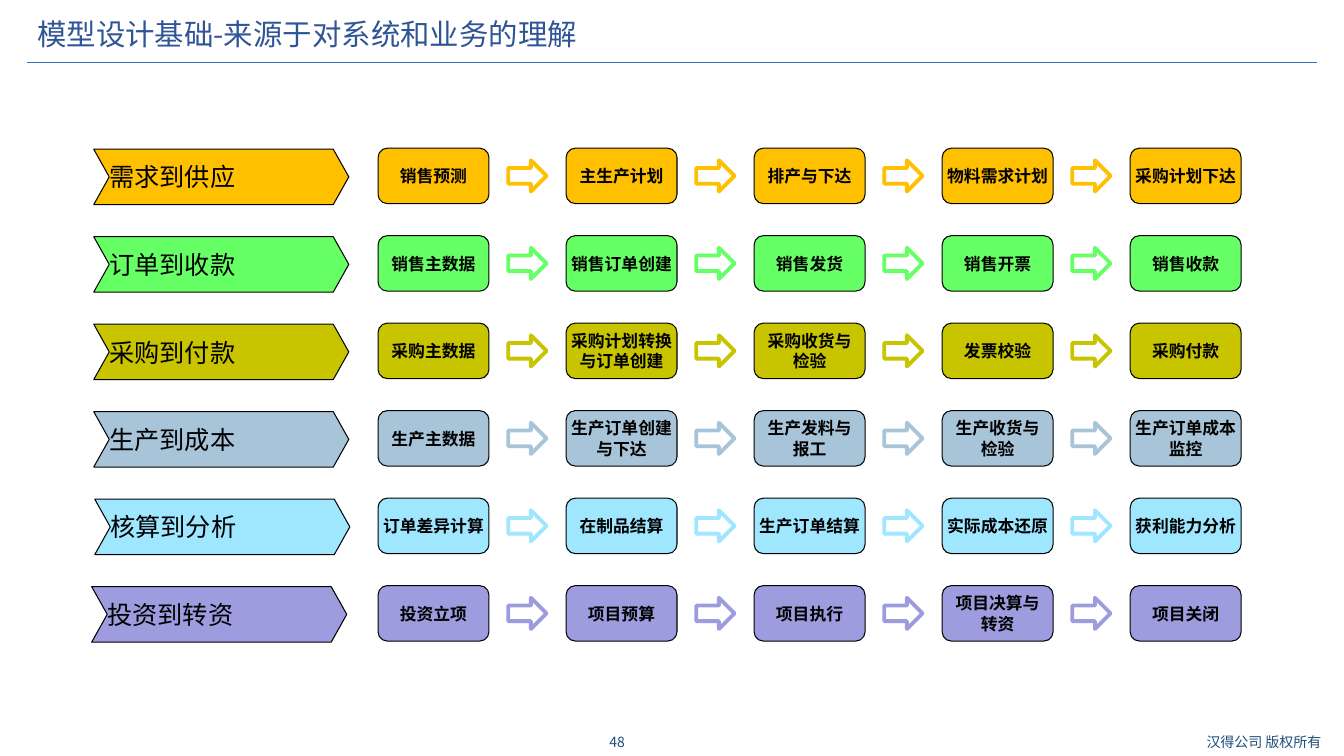
from pptx import Presentation
from pptx.dml.color import RGBColor
from pptx.enum.shapes import MSO_CONNECTOR, MSO_SHAPE
from pptx.enum.text import MSO_ANCHOR, MSO_AUTO_SIZE, PP_ALIGN
from pptx.oxml.ns import qn
from pptx.util import Inches, Pt

FONT = "Noto Sans CJK SC"

# Process name, colour, left edge of its chevron, steps
PROCESSES = [
    ("需求到供应", "FFC000", 0.93,
     ["销售预测", "主生产计划", "排产与下达", "物料需求计划", "采购计划下达"]),
    ("订单到收款", "66FF66", 0.93,
     ["销售主数据", "销售订单创建", "销售发货", "销售开票", "销售收款"]),
    ("采购到付款", "C8C500", 0.93,
     ["采购主数据", "采购计划转换\n与订单创建", "采购收货与\n检验", "发票校验", "采购付款"]),
    ("生产到成本", "A7C4D9", 0.93,
     ["生产主数据", "生产订单创建\n与下达", "生产发料与\n报工", "生产收货与\n检验",
      "生产订单成本\n监控"]),
    ("核算到分析", "9FE6FF", 0.94,
     ["订单差异计算", "在制品结算", "生产订单结算", "实际成本还原", "获利能力分析"]),
    ("投资到转资", "9C9CDF", 0.91,
     ["投资立项", "项目预算", "项目执行", "项目决算与\n转资", "项目关闭"]),
]

# Grid of steps
FIRST_LEFT, LAST_LEFT = 3.75, 11.21
FIRST_TOP, LAST_TOP = 1.47, 5.81
COLUMN_PITCH = (LAST_LEFT - FIRST_LEFT) / 4
ROW_PITCH = (LAST_TOP - FIRST_TOP) / (len(PROCESSES) - 1)
STEP_WIDTH, ROW_HEIGHT = 1.1, 0.55


def rgb(colour):
    return RGBColor.from_string(colour)


def write(frame, text, size=12, colour="000000", bold=False, align=PP_ALIGN.CENTER,
          anchor=MSO_ANCHOR.MIDDLE, wrap=True, inset=None, line_spacing=None):
    """Fill a text frame, one paragraph for each line of text."""
    frame.text = text
    frame.word_wrap = wrap
    frame.vertical_anchor = anchor
    if inset is not None:
        frame.margin_left = frame.margin_right = Inches(inset)
        frame.margin_top = frame.margin_bottom = Inches(inset)
    for paragraph in frame.paragraphs:
        paragraph.alignment = align
        if line_spacing:
            paragraph.line_spacing = line_spacing
        for run in paragraph.runs:
            run.font.size = Pt(size)
            run.font.bold = bold
            run.font.name = FONT
            run.font.color.rgb = rgb(colour)
            east_asian = run.font._element.makeelement(qn("a:ea"), {"typeface": FONT})
            run.font._element.find(qn("a:latin")).addnext(east_asian)


def add_title(slide, text):
    title = slide.shapes.title
    title.left, title.top = Inches(0.27), Inches(0.15)
    title.width, title.height = Inches(11.57), Inches(0.42)
    write(title.text_frame, text, size=21, colour="2F5597", align=PP_ALIGN.LEFT,
          anchor=MSO_ANCHOR.TOP, line_spacing=0.9)
    title.text_frame.auto_size = MSO_AUTO_SIZE.SHAPE_TO_FIT_TEXT


def add_title_rule(slide):
    rule = slide.shapes.add_connector(MSO_CONNECTOR.STRAIGHT, Inches(0.27), Inches(0.62),
                                      Inches(13.06), Inches(0.62))
    rule.line.color.rgb = rgb("2E75B6")
    rule.line.width = Pt(0.75)
    properties = rule._element.spPr
    properties.append(properties.makeelement(qn("a:effectLst"), {}))


def add_footer(slide, text, left, width):
    footer = slide.shapes.add_textbox(Inches(left), Inches(7.23), Inches(width), Inches(0.27))
    write(footer.text_frame, text, size=10, colour="1F4E79")
    footer.text_frame.auto_size = MSO_AUTO_SIZE.SHAPE_TO_FIT_TEXT


def add_outlined(slide, preset, left, top, width, height, fill=None, line="000000",
                 line_width=0.75):
    outlined = slide.shapes.add_shape(preset, Inches(left), Inches(top),
                                      Inches(width), Inches(height))
    outlined.shadow.inherit = False
    if fill:
        outlined.fill.solid()
        outlined.fill.fore_color.rgb = rgb(fill)
    else:
        outlined.fill.background()
    outlined.line.color.rgb = rgb(line)
    outlined.line.width = Pt(line_width)
    return outlined


def add_process_name(slide, name, colour, left, top):
    chevron = add_outlined(slide, MSO_SHAPE.CHEVRON, left, top, 2.53, ROW_HEIGHT, fill=colour)
    chevron.adjustments[0] = 0.28
    write(chevron.text_frame, name, size=18, align=PP_ALIGN.LEFT, wrap=False, inset=0)


def add_step(slide, text, colour, left, top):
    step = add_outlined(slide, MSO_SHAPE.ROUNDED_RECTANGLE, left, top, STEP_WIDTH,
                        ROW_HEIGHT, fill=colour)
    write(step.text_frame, text, bold=True, wrap=False, inset=0)


def add_step_arrow(slide, colour, left, top):
    add_outlined(slide, MSO_SHAPE.RIGHT_ARROW, left, top, 0.38, 0.31, line=colour,
                 line_width=2.75)


def main():
    presentation = Presentation()
    presentation.slide_width, presentation.slide_height = Inches(13.33), Inches(7.5)
    slide = presentation.slides.add_slide(presentation.slide_layouts[5])

    # Page frame
    add_footer(slide, "48", 5.77, 0.7)
    add_footer(slide, "汉得公司 版权所有", 11.74, 1.59)
    add_title_rule(slide)
    add_title(slide, "模型设计基础-来源于对系统和业务的理解")

    # One row for each process
    for row, (name, colour, name_left, steps) in enumerate(PROCESSES):
        top = FIRST_TOP + row * ROW_PITCH
        add_process_name(slide, name, colour, name_left, top + 0.01)
        for column, step in enumerate(steps):
            left = FIRST_LEFT + column * COLUMN_PITCH
            add_step(slide, step, colour, left, top)
            if column < len(steps) - 1:
                add_step_arrow(slide, colour, left + 1.29, top + 0.12)

    presentation.save("out.pptx")


if __name__ == "__main__":
    main()
